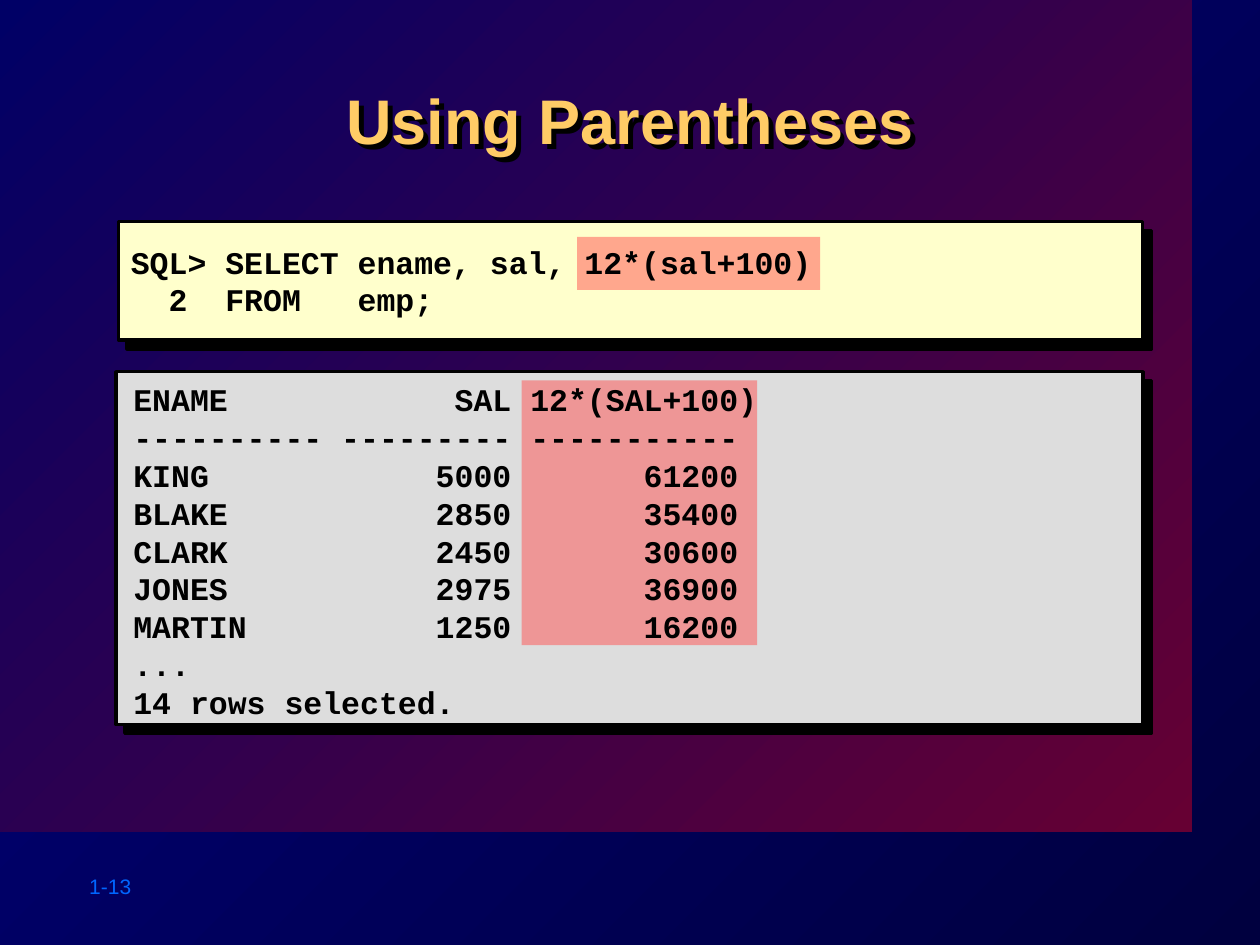
import pptx
import pptx.dml.color
import pptx.enum.shapes
import pptx.enum.text
import pptx.oxml.ns
import pptx.util
from lxml import etree

Inches = pptx.util.Inches
Pt = pptx.util.Pt
ANCHOR = pptx.enum.text.MSO_ANCHOR

QUERY = ["SQL> SELECT ename, sal, 12*(sal+100)", "  2  FROM   emp;"]
ROWS = [
    ("ENAME", "SAL", "12*(SAL+100)"),
    ("-" * 10, "-" * 9, "-" * 11),
    ("KING", 5000, 61200),
    ("BLAKE", 2850, 35400),
    ("CLARK", 2450, 30600),
    ("JONES", 2975, 36900),
    ("MARTIN", 1250, 16200),
]
RESULT = [f"{name:<10} {sal:>9} {pay:>11}" for name, sal, pay in ROWS]
RESULT += ["...", "14 rows selected."]


def rgb(color):
    return pptx.dml.color.RGBColor.from_string(color)


def add_xml(parent, tag, **attributes):
    return etree.SubElement(parent, pptx.oxml.ns.qn(tag), attributes)


def set_gradient(fill, start, end):
    """Run from start at the bottom right to end at the top left."""
    fill.gradient()
    fill.gradient_angle = 135
    for stop, color in zip(fill.gradient_stops, (start, end)):
        stop.color.rgb = rgb(color)


def add_shadow(shape, distance):
    """Cast a hard black shadow to the bottom right."""
    shape.shadow.inherit = False
    effects = shape._element.spPr.find(pptx.oxml.ns.qn("a:effectLst"))
    shadow = add_xml(effects, "a:outerShdw", blurRad="0",
                     dist=str(Pt(distance)), dir="2700000",
                     algn="ctr", rotWithShape="0")
    add_xml(shadow, "a:srgbClr", val="000000")


def add_rect(slide, left, top, width, height):
    s = slide.shapes.add_shape(
        pptx.enum.shapes.MSO_SHAPE.RECTANGLE,
        Inches(left), Inches(top), Inches(width), Inches(height))
    s.shadow.inherit = False
    s.line.fill.background()
    return s


def add_panel(slide, left, top, width, height, color):
    s = add_rect(slide, left, top, width, height)
    s.fill.solid()
    s.fill.fore_color.rgb = rgb(color)
    s.line.color.rgb = rgb("000000")
    s.line.width = Pt(2)
    add_shadow(s, 7.1)


def add_highlight(slide, left, top, width, height):
    s = add_rect(slide, left, top, width, height)
    s.fill.solid()
    s.fill.fore_color.rgb = rgb("FF5050")
    color = s._element.spPr.find(".//" + pptx.oxml.ns.qn("a:srgbClr"))
    add_xml(color, "a:alpha", val="50000")


def add_text(slide, left, top, width, height, lines, font, size, color,
             bold=False, wrap=True, anchor=ANCHOR.TOP, align=None, spacing=None):
    s = slide.shapes.add_textbox(
        Inches(left), Inches(top), Inches(width), Inches(height))
    tf = s.text_frame
    tf.text = "\n".join(lines)
    tf.word_wrap = wrap
    tf.vertical_anchor = anchor
    for p in tf.paragraphs:
        p.alignment = align
        p.line_spacing = spacing
        for r in p.runs:
            r.font.name = font
            r.font.size = Pt(size)
            r.font.bold = bold
            r.font.color.rgb = rgb(color)
    return s


def add_code(slide, left, top, width, height, lines, **options):
    add_text(slide, left, top, width, height, lines, "Courier New", 18,
             "000000", bold=True, spacing=Pt(21.6), **options)


def main():
    prs = pptx.Presentation()
    prs.slide_width, prs.slide_height = Inches(10), Inches(7.5)
    slide = prs.slides.add_slide(prs.slide_layouts[6])

    set_gradient(slide.background.fill, "00003F", "000080")
    set_gradient(add_rect(slide, 0, 0, 9.46, 6.6).fill, "660033", "000066")
    add_text(slide, 0.61, 6.88, 1.11, 0.3, ["1-13"], "Arial", 12, "0066FF")

    add_panel(slide, 0.94, 1.76, 8.13, 0.94, "FFFFCC")
    add_panel(slide, 0.92, 2.95, 8.15, 2.8, "DDDDDD")
    title = add_text(slide, 1.01, 0.6, 7.98, 0.96, ["Using Parentheses"],
                     "Arial", 36, "FFCC66", bold=True,
                     align=pptx.enum.text.PP_ALIGN.CENTER)
    add_shadow(title, 4)

    add_highlight(slide, 4.58, 1.88, 1.93, 0.42)
    add_highlight(slide, 4.14, 3.02, 1.87, 2.1)
    add_code(slide, 0.94, 1.74, 8.16, 0.97, QUERY, anchor=ANCHOR.MIDDLE)
    add_code(slide, 0.96, 2.97, 8.12, 2.8, RESULT)
    prs.save("out.pptx")


if __name__ == "__main__":
    main()
